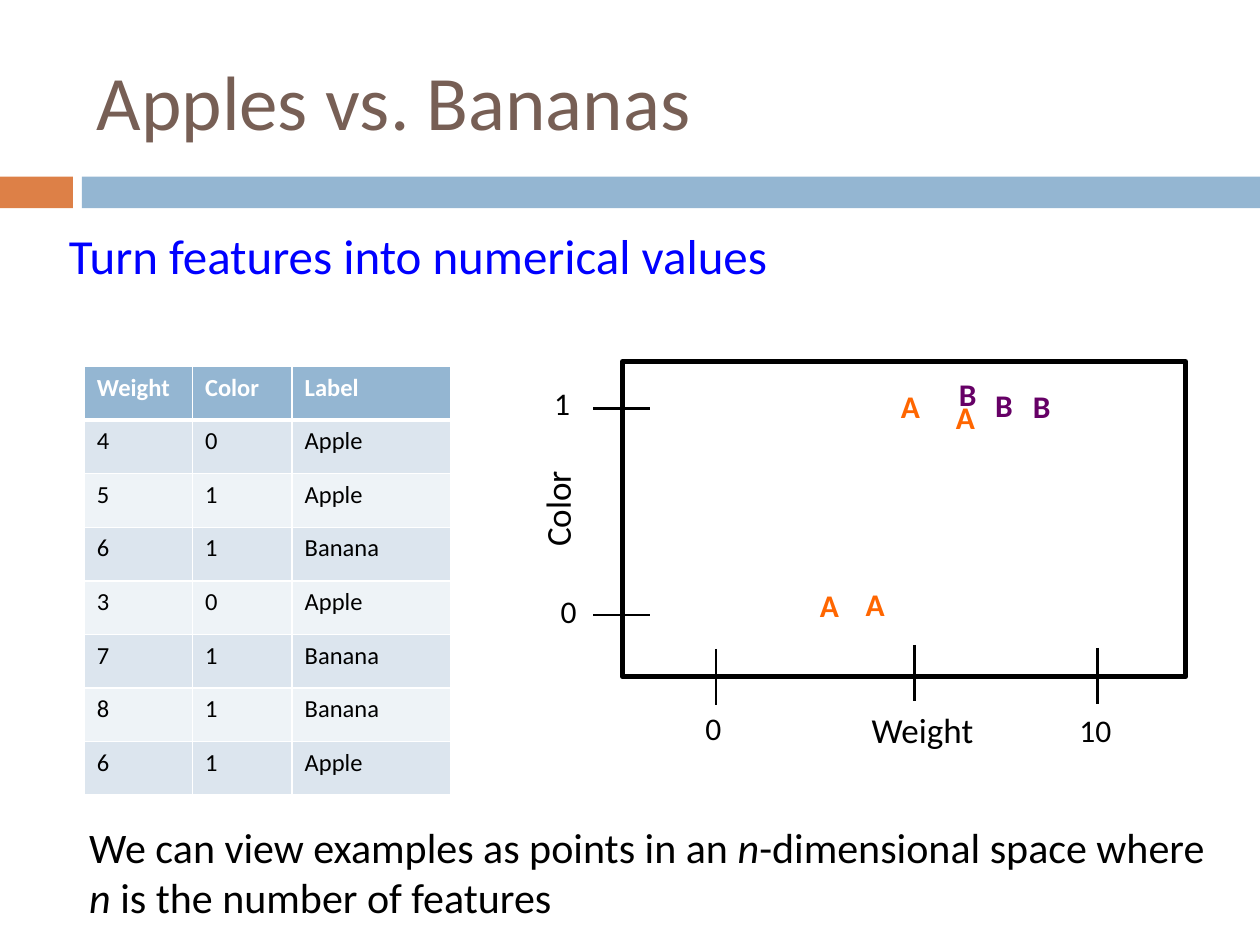
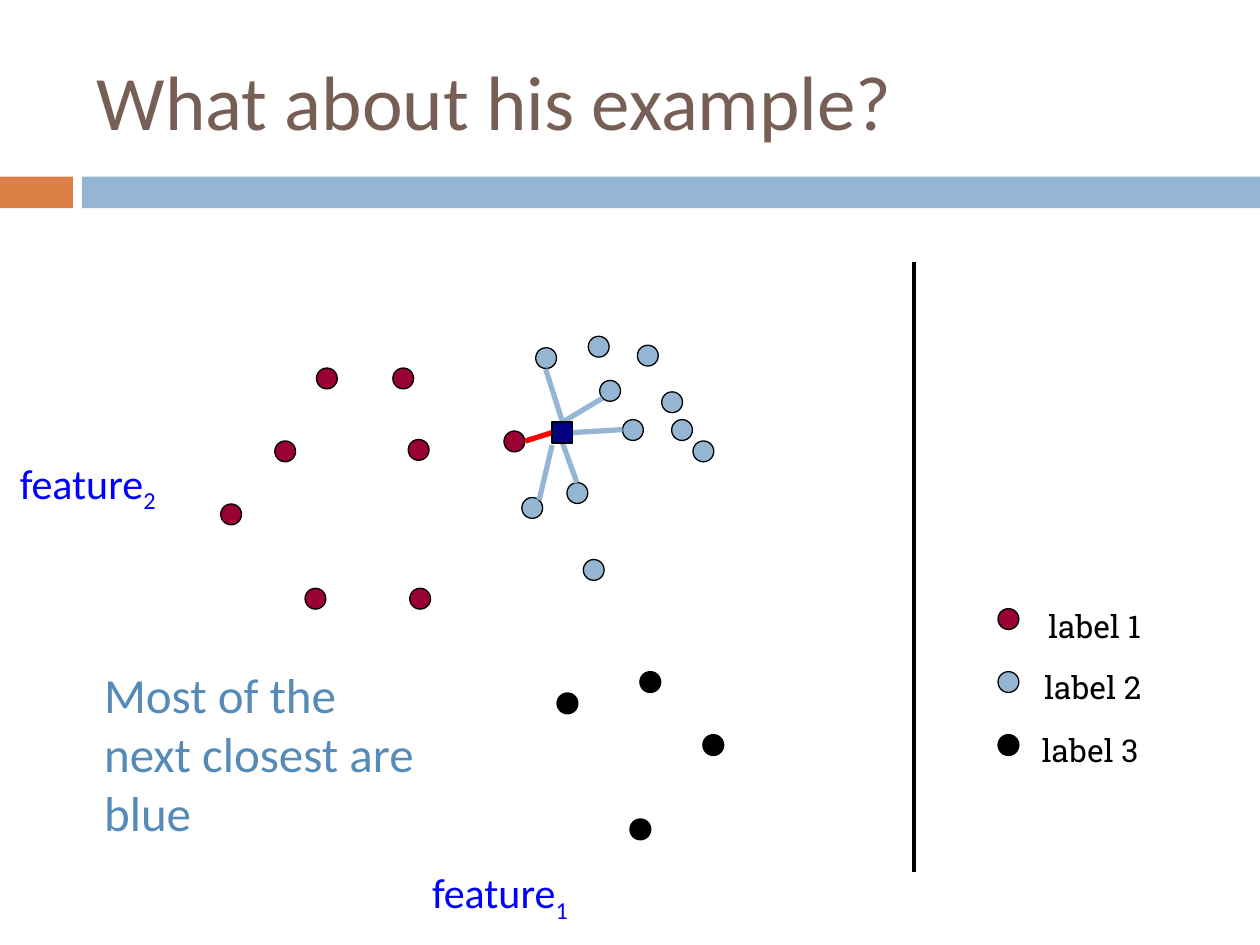
"""Build two slides on viewing labelled examples as points in feature space."""
from dataclasses import dataclass
from typing import NamedTuple, Optional

from lxml.etree import SubElement
from pptx import Presentation
from pptx.dml.color import RGBColor
from pptx.enum.shapes import MSO_CONNECTOR, MSO_SHAPE
from pptx.enum.text import MSO_ANCHOR, MSO_AUTO_SIZE
from pptx.oxml.ns import qn
from pptx.shapes.autoshape import Shape
from pptx.shapes.connector import Connector
from pptx.slide import Slide
from pptx.table import _Cell
from pptx.util import Cm, Pt


@dataclass(frozen=True)
class Theme:
    """Colours, fonts and type sizes shared by the slides."""
    title: str = "775F55"
    orange: str = "DD8047"
    blue: str = "94B6D2"
    deep_blue: str = "558BB8"
    bright_blue: str = "0000FF"
    black: str = "000000"
    white: str = "FFFFFF"
    row_dark: str = "DCE5EE"
    row_light: str = "EEF3F7"
    apple: str = "FF6600"
    banana: str = "660066"
    crimson: str = "990033"
    red: str = "FF0000"
    navy: str = "000080"
    body_font: str = "Calibri"
    legend_font: str = "Roboto Slab"
    title_size: int = 44
    heading_size: int = 28
    note_size: int = 24
    axis_size: int = 20
    label_size: int = 18
    table_size: int = 14


THEME = Theme()


class Box(NamedTuple):
    """Left, top, width and height in centimetres."""
    left: float
    top: float
    width: float
    height: float

    def lengths(self) -> list[Cm]:
        """Return the four measures as lengths."""
        return [Cm(value) for value in self]


class Point(NamedTuple):
    """A position in centimetres."""
    x: float
    y: float


class Span(NamedTuple):
    """A stretch of text with its own style."""
    text: str
    italic: bool = False
    subscript: bool = False


class Style(NamedTuple):
    """The type of one paragraph."""
    size: int
    color: str = THEME.black
    bold: bool = False
    font: str = THEME.body_font


class AxisLabel(NamedTuple):
    """A word or number beside an axis."""
    text: str
    box: Box
    size: int = THEME.label_size
    rotation: int = 0


class Cluster(NamedTuple):
    """Examples sharing one label, with their legend text position."""
    name: str
    color: str
    legend_text: Point
    dots: list[Point]


class Link(NamedTuple):
    """A line from the new example to a neighbour, joined at a side if given."""
    start: Point
    end: Point
    side: Optional[int]
    color: str = THEME.blue


BANDS = [(Box(0, 3.56, 1.47, 0.64), THEME.orange), (Box(1.65, 3.56, 23.75, 0.64), THEME.blue)]

EXAMPLES = [
    ("Weight", "Color", "Label"),
    ("4", "0", "Apple"),
    ("5", "1", "Apple"),
    ("6", "1", "Banana"),
    ("3", "0", "Apple"),
    ("7", "1", "Banana"),
    ("8", "1", "Banana"),
    ("6", "1", "Apple"),
]
COLUMN_WIDTHS = (2.18, 2.01, 3.2)
ROW_HEIGHT = 1.08

TICK = 1.14
WEIGHT_TICKS = [Point(14.43, 13.08), Point(18.44, 13), Point(22.12, 13.06)]
COLOR_TICKS = [Point(11.96, 8.23), Point(11.96, 12.4)]
AXIS_LABELS = [
    AxisLabel("Weight", Box(17.32, 14.15, 2.62, 1.12), THEME.axis_size),
    AxisLabel("Color", Box(10.21, 9.68, 2.06, 1.12), THEME.axis_size, 270),
    AxisLabel("0", Box(13.97, 14.17, 0.86, 1.02)),
    AxisLabel("10", Box(21.51, 14.2, 1.22, 1.02)),
    AxisLabel("0", Box(11.05, 11.81, 0.86, 1.02)),
    AxisLabel("1", Box(10.92, 7.62, 0.86, 1.02)),
]
FRUITS = [
    ("B", THEME.banana, 0.86, [Point(19.08, 7.44), Point(19.81, 7.65), Point(20.57, 7.67)]),
    ("A", THEME.apple, 0.97,
     [Point(16.28, 11.68), Point(17.2, 11.66), Point(17.91, 7.67), Point(19.02, 7.9)]),
]

DOT = 0.42
LEGEND = Point(20.12, 12.27)
LEGEND_STEP = 1.27
CLUSTERS = [
    Cluster("label 1", THEME.crimson, Point(20.88, 12.12), [
        Point(6.38, 7.42), Point(5.54, 8.89), Point(6.15, 11.86), Point(7.92, 7.42),
        Point(4.45, 10.16), Point(8.23, 8.86), Point(10.16, 8.69), Point(8.26, 11.86)]),
    Cluster("label 2", THEME.blue, Point(20.8, 13.34), [
        Point(11.43, 9.73), Point(11.86, 6.78), Point(11.76, 11.28), Point(12.55, 8.46),
        Point(12.09, 7.67), Point(13.54, 8.46), Point(13.97, 8.89), Point(13.34, 7.9),
        Point(10.8, 7.01), Point(12.85, 6.96), Point(10.52, 10.03)]),
    Cluster("label 3", THEME.black, Point(20.75, 14.61), [
        Point(12.9, 13.54), Point(11.23, 13.97), Point(12.7, 16.51), Point(14.17, 14.81)]),
]
NEW_EXAMPLE = Point(11.13, 8.51)
LINKS = [
    Link(Point(11.13, 8.72), Point(10.59, 8.89), 1, THEME.red),
    Link(Point(11.34, 8.51), Point(12.14, 8.03), 0),
    Link(Point(11.55, 8.72), Point(12.55, 8.66), 3),
    Link(Point(11.34, 8.93), Point(11.63, 9.73), 2),
    Link(Point(11.13, 8.97), Point(10.87, 10.08), None),
    Link(Point(11.34, 8.51), Point(11, 7.44), 0),
]
FEATURES = [("1", Box(8.46, 17.35, 4.04, 1.27)), ("2", Box(0.15, 9.09, 3.89, 1.27))]


def rgb(color: str) -> RGBColor:
    """Turn a hex string into a colour."""
    return RGBColor.from_string(color)


def write(frame, spans: list[Span], style: Style) -> None:
    """Write one styled paragraph into a text frame."""
    paragraph = frame.paragraphs[0]
    font = paragraph.font
    font.name, font.size, font.bold = style.font, Pt(style.size), style.bold
    font.color.rgb = rgb(style.color)
    for span in spans:
        run = paragraph.add_run()
        run.text = span.text
        if span.italic:
            run.font.italic = True
        if span.subscript:
            run._r.get_or_add_rPr().set("baseline", "-25000")


def add_text(slide: Slide, box: Box, spans: list[Span], style: Style, wrap: bool = False) -> Shape:
    """Add a text box that grows with its text."""
    textbox = slide.shapes.add_textbox(*box.lengths())
    textbox.text_frame.word_wrap = wrap
    textbox.text_frame.auto_size = MSO_AUTO_SIZE.SHAPE_TO_FIT_TEXT
    write(textbox.text_frame, spans, style)
    return textbox


def add_figure(slide: Slide, kind: MSO_SHAPE, box: Box, fill: Optional[str] = None,
               line_width: float = 0) -> Shape:
    """Add a preset shape with optional fill and black outline."""
    figure = slide.shapes.add_shape(kind, *box.lengths())
    figure.shadow.inherit = False
    if fill:
        figure.fill.solid()
        figure.fill.fore_color.rgb = rgb(fill)
    else:
        figure.fill.background()
    if line_width:
        figure.line.color.rgb = rgb(THEME.black)
        figure.line.width = Pt(line_width)
    else:
        figure.line.fill.background()
    return figure


def add_line(slide: Slide, start: Point, end: Point, width: float,
             color: str = THEME.black) -> Connector:
    """Add a straight line without shadow."""
    line = slide.shapes.add_connector(
        MSO_CONNECTOR.STRAIGHT, Cm(start.x), Cm(start.y), Cm(end.x), Cm(end.y))
    line.line.color.rgb = rgb(color)
    line.line.width = Pt(width)
    SubElement(line.element.spPr, qn("a:effectLst"))
    return line


def add_titled_slide(deck: Presentation, title: str) -> Slide:
    """Add a blank slide with the shared bands and title."""
    slide = deck.slides.add_slide(deck.slide_layouts[6])
    for box, color in BANDS:
        add_figure(slide, MSO_SHAPE.RECTANGLE, box, color)
    heading = add_text(slide, Box(1.7, 0.64, 22.66, 2.74), [Span(title)],
                       Style(THEME.title_size, THEME.title), wrap=True)
    heading.text_frame.auto_size = MSO_AUTO_SIZE.NONE
    heading.text_frame.vertical_anchor = MSO_ANCHOR.MIDDLE
    return slide


def style_cell(cell: _Cell, row: int) -> None:
    """Give a cell white borders and the fill of its row."""
    properties = cell._tc.get_or_add_tcPr()
    widths = {"L": 1, "R": 1, "T": 3 if row == 1 else 1, "B": 3 if row == 0 else 1}
    for side, width in widths.items():
        border = SubElement(properties, qn(f"a:ln{side}"), w=str(Pt(width)))
        SubElement(SubElement(border, qn("a:solidFill")), qn("a:srgbClr"), val=THEME.white)
    cell.fill.solid()
    body = THEME.row_dark if row % 2 else THEME.row_light
    cell.fill.fore_color.rgb = rgb(body if row else THEME.blue)


def add_examples_table(slide: Slide) -> None:
    """Add the table of weights, colours and labels."""
    box = Box(1.7, 7.39, sum(COLUMN_WIDTHS), ROW_HEIGHT * len(EXAMPLES))
    table = slide.shapes.add_table(len(EXAMPLES), len(COLUMN_WIDTHS), *box.lengths()).table
    for column, width in zip(table.columns, COLUMN_WIDTHS):
        column.width = Cm(width)
    for r, values in enumerate(EXAMPLES):
        color = THEME.black if r else THEME.white
        for c, value in enumerate(values):
            cell = table.cell(r, c)
            style_cell(cell, r)
            write(cell.text_frame, [Span(value)], Style(THEME.table_size, color, bold=r == 0))


def add_fruit_plot(slide: Slide) -> None:
    """Draw the fruits by weight and colour."""
    add_figure(slide, MSO_SHAPE.RECTANGLE, Box(12.55, 7.29, 11.35, 6.35), line_width=3)
    for tick in WEIGHT_TICKS:
        add_line(slide, tick, Point(tick.x, tick.y + TICK), 1.5)
    for tick in COLOR_TICKS:
        add_line(slide, tick, Point(tick.x + TICK, tick.y), 1.5)
    for label in AXIS_LABELS:
        add_text(slide, label.box, [Span(label.text)], Style(label.size)).rotation = label.rotation
    for letter, color, width, places in FRUITS:
        for place in places:
            add_text(slide, Box(*place, width, 1.02), [Span(letter)],
                     Style(THEME.label_size, color, bold=True))


def build_fruit_slide(deck: Presentation) -> None:
    """Build the slide that turns features into numbers."""
    slide = add_titled_slide(deck, "Apples vs. Bananas")
    add_examples_table(slide)
    add_text(slide, Box(1.14, 4.42, 16.08, 1.45), [Span("Turn features into numerical values")],
             Style(THEME.heading_size, THEME.bright_blue))
    add_fruit_plot(slide)
    add_text(slide, Box(1.55, 16.43, 23.19, 2.31), [
        Span("We can view examples as points in an "), Span("n", italic=True),
        Span("-dimensional space where "), Span("n", italic=True),
        Span(" is the number of features")], Style(THEME.note_size), wrap=True)


def build_neighbour_slide(deck: Presentation) -> None:
    """Build the slide that links a new example to its neighbours."""
    slide = add_titled_slide(deck, "What about his example?")
    for i, cluster in enumerate(CLUSTERS):
        key = Point(LEGEND.x, LEGEND.y + i * LEGEND_STEP)
        for dot in [*cluster.dots, key]:
            add_figure(slide, MSO_SHAPE.OVAL, Box(*dot, DOT, DOT), cluster.color, 0.75)
        add_text(slide, Box(*cluster.legend_text, 2.51, 1.02), [Span(cluster.name)],
                 Style(THEME.label_size, font=THEME.legend_font))
    add_line(slide, Point(18.42, 5.28), Point(18.42, 17.58), 2.25)
    for number, box in FEATURES:
        add_text(slide, box, [Span("feature"), Span(number, subscript=True)],
                 Style(THEME.note_size, THEME.bright_blue), wrap=True)
    lines = [add_line(slide, link.start, link.end, 3, link.color) for link in LINKS]
    example = add_figure(slide, MSO_SHAPE.RECTANGLE, Box(*NEW_EXAMPLE, DOT, DOT), THEME.navy, 0.75)
    for line, link in zip(lines, LINKS):
        if link.side is not None:
            line.begin_connect(example, link.side)
    add_text(slide, Box(1.85, 13.28, 6.99, 2.64), [Span("Most of the next closest are blue")],
             Style(THEME.heading_size, THEME.deep_blue), wrap=True)


def main() -> None:
    """Build and save the deck."""
    deck = Presentation()
    deck.slide_width, deck.slide_height = Cm(25.4), Cm(19.05)
    build_fruit_slide(deck)
    build_neighbour_slide(deck)
    deck.save("out.pptx")


if __name__ == "__main__":
    main()
